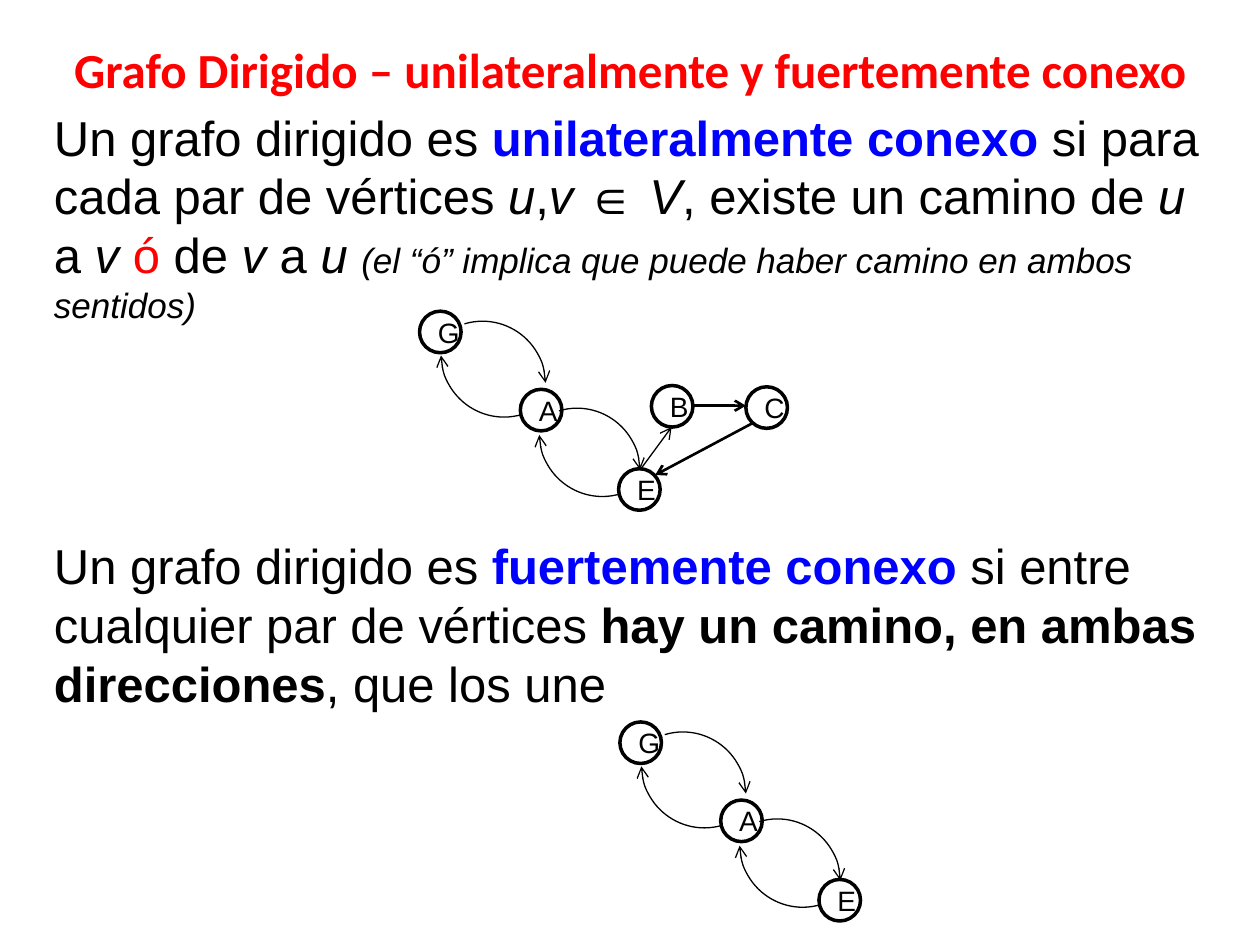
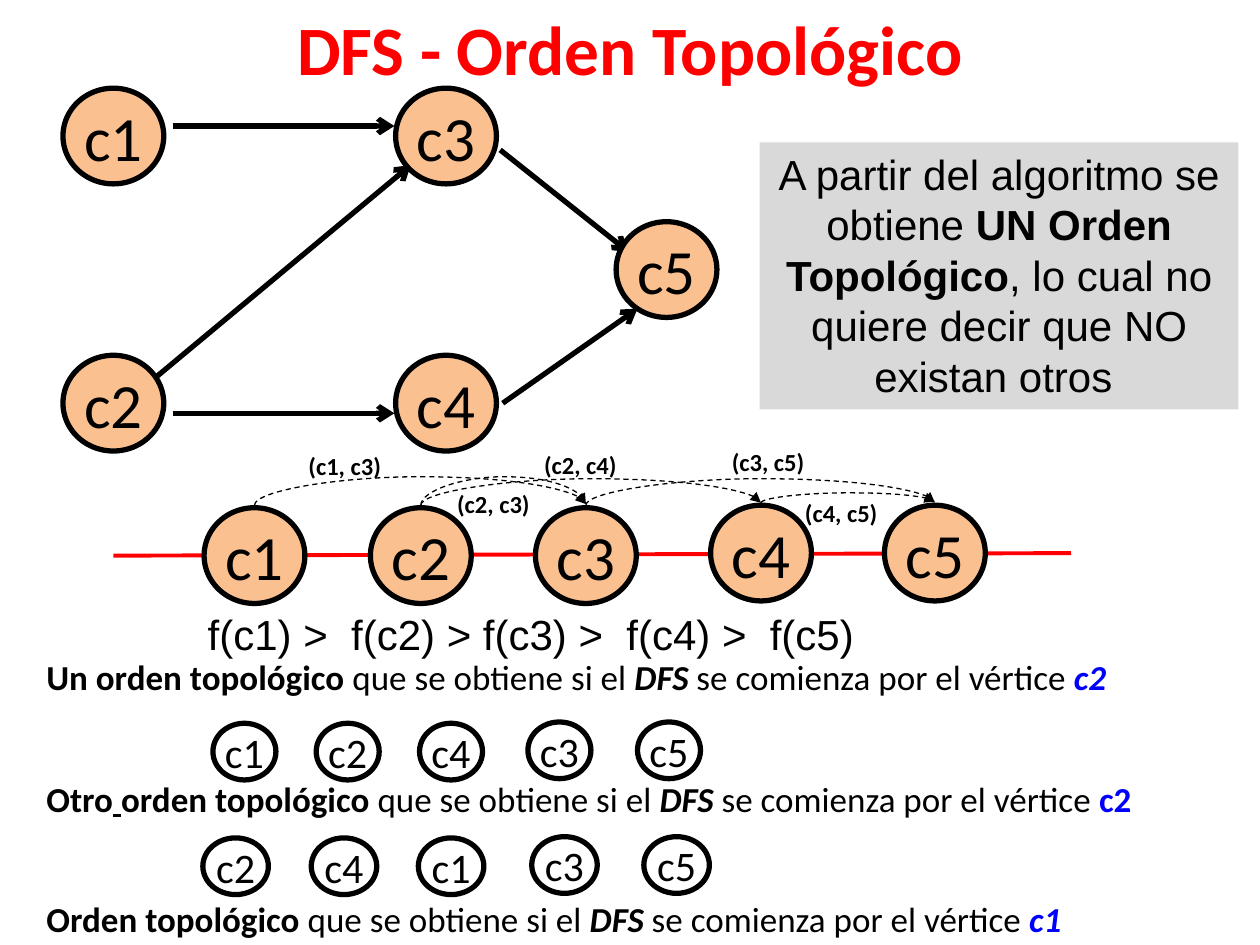
from lxml import etree
from pptx import Presentation
from pptx.dml.color import RGBColor
from pptx.enum.dml import MSO_LINE
from pptx.enum.shapes import MSO_CONNECTOR as Link, MSO_SHAPE as Shape
from pptx.enum.text import MSO_ANCHOR as Anchor, PP_ALIGN as Align
from pptx.oxml.ns import qn
from pptx.util import Inches, Pt

BLACK, RED, BLUE = "000000", "FF0000", "0000FF"
PEACH, GREY = "FAC090", "D9D9D9"
ARC_ANGLES = (151.98, 215.24)


def color(value):
    return RGBColor.from_string(value)


def box_inches(box):
    return [Inches(length) for length in box]


def add_runs(paragraph, runs, font, size):
    for text, style, tint, *own_size in runs:
        run = paragraph.add_run()
        run.text = text
        run.font.name = font
        run.font.size = Pt(own_size[0] if own_size else size)
        run.font.color.rgb = color(tint)
        run.font.bold = "b" in style
        run.font.italic = "i" in style
        run.font.underline = "u" in style


def write(frame, paragraphs, font, size, align=Align.LEFT, anchor=Anchor.TOP, wrap=True, gap=0):
    frame.word_wrap = wrap
    frame.vertical_anchor = anchor
    for index, runs in enumerate(paragraphs):
        paragraph = frame.add_paragraph() if index else frame.paragraphs[0]
        paragraph.alignment = align
        if index:
            paragraph.space_before = Pt(gap)
        add_runs(paragraph, runs, font, size)


def add_text(slide, box, paragraphs, font, size, **layout):
    area = slide.shapes.add_textbox(*box_inches(box))
    write(area.text_frame, paragraphs, font, size, **layout)


def add_title(slide, top, text, size):
    add_text(slide, (0.25, top, 9.5, 0.75), [[(text, "b", RED)]], "Calibri", size,
             align=Align.CENTER, anchor=Anchor.MIDDLE)


def style_line(item, width, tint=BLACK, head=None):
    item.line.color.rgb = color(tint)
    item.line.width = Pt(width)
    if head:
        etree.SubElement(item.line._get_or_add_ln(), qn("a:tailEnd"), type=head)


def add_line(slide, start, end, width, tint=BLACK, head="arrow"):
    edge = slide.shapes.add_connector(Link.STRAIGHT, *box_inches(start + end))
    style_line(edge, width, tint, head)
    etree.SubElement(edge._element.spPr, qn("a:effectLst"))


def add_vertex(slide, box, name, font, size, width, fill=None, wrap=False):
    vertex = slide.shapes.add_shape(Shape.OVAL, *box_inches(box))
    vertex.shadow.inherit = False
    if fill:
        vertex.fill.solid()
        vertex.fill.fore_color.rgb = color(fill)
    else:
        vertex.fill.background()
    style_line(vertex, width)
    write(vertex.text_frame, [[(name, "", BLACK)]], font, size,
          align=Align.CENTER, anchor=Anchor.MIDDLE, wrap=wrap)


def add_arc(slide, left, top, rotation):
    arc = slide.shapes.add_shape(Shape.ARC, *box_inches((left, top, 1, 1)))
    arc.shadow.inherit = False
    arc.fill.background()
    arc.rotation = rotation
    for index, angle in enumerate(ARC_ANGLES):
        arc.adjustments[index] = angle
    style_line(arc, 0.75, head="arrow")


def add_arch(slide, start, end, base, climb, rise):
    span = end - start
    center_x, center_y = (start + end) / 2, base - climb / 2
    left, top = center_x - climb / 2, center_y - span / 2
    arch = slide.shapes.add_connector(Link.CURVE, *box_inches((left, top, left + climb, top + span)))
    properties = arch._element.spPr
    properties.find(qn("a:xfrm")).set("rot", str(270 * 60000))
    adjustments = properties.find(qn("a:prstGeom")).get_or_add_avLst()
    etree.SubElement(adjustments, qn("a:gd"), name="adj1", fmla=f"val {round(rise / climb * 100000)}")
    style_line(arch, 0.75)
    arch.line.dash_style = MSO_LINE.DASH
    etree.SubElement(arch.line._get_or_add_ln(), qn("a:tailEnd"), type="triangle")
    etree.SubElement(properties, qn("a:effectLst"))


def add_letters(slide, left, top, places):
    for name, x, y in places:
        add_vertex(slide, (left + x, top + y, 0.33, 0.33), name, "Arial", 16, 2, wrap=True)


def strong_graph(slide, left, top):
    for x, y, rotation in [(0.95, 0.47, 180), (0.17, -0.16, 180), (0, 0.08, 0), (0.75, 0.77, 0)]:
        add_arc(slide, left + x, top + y, rotation)
    add_letters(slide, left, top, [("G", 0, 0), ("A", 0.8, 0.62), ("E", 1.58, 1.25)])


def unilateral_graph(slide, left, top):
    strong_graph(slide, left, top)
    add_letters(slide, left, top, [("B", 1.84, 0.59), ("C", 2.59, 0.6)])
    for x1, y1, x2, y2, width in [(2.17, 0.75, 2.59, 0.75, 1.5), (2.64, 0.89, 1.87, 1.3, 1.5),
                                  (1.75, 1.26, 2, 0.92, 0.75)]:
        add_line(slide, (left + x1, top + y1), (left + x2, top + y2), width)


def connectivity_slide(slide):
    add_title(slide, 0.17, "Grafo Dirigido – unilateralmente y fuertemente conexo", 28)
    unilateral = [
        ("Un grafo dirigido es ", "", BLACK), ("unilateralmente conexo ", "b", BLUE),
        ("si para cada par de vértices ", "", BLACK), ("u", "i", BLACK), (",", "", BLACK),
        ("v ", "i", BLACK), ("∈ ", "", BLACK), ("V", "i", BLACK),
        (", existe un camino de ", "", BLACK), ("u", "i", BLACK), (" a ", "", BLACK),
        ("v ", "i", BLACK), ("ó ", "", RED), ("de ", "", BLACK), ("v", "i", BLACK),
        (" a ", "", BLACK), ("u ", "i", BLACK),
        ("(el “ó” implica que puede haber camino en ambos sentidos)", "i", BLACK, 20)]
    strong = [
        ("Un grafo dirigido es ", "", BLACK), ("fuertemente conexo ", "b", BLUE),
        ("si entre cualquier par de vértices ", "", BLACK),
        ("hay un camino, en ambas direcciones", "b", BLACK), (", que los une", "", BLACK)]
    add_text(slide, (0.33, 0.8, 9.37, 4.95), [unilateral, strong], "Arial", 28, gap=120)
    unilateral_graph(slide, 3.33, 2.47)
    strong_graph(slide, 4.92, 5.73)


def add_course(slide, left, top, name):
    add_vertex(slide, (left, top, 0.8, 0.76), name, "Calibri", 36, 3, PEACH)


def course_graph(slide, left, top):
    for x1, y1, x2, y2 in [(0.67, 2.35, 2.76, 0.61), (0.87, 2.58, 2.63, 2.58),
                           (0.87, 0.3, 2.63, 0.3), (3.49, 2.5, 4.56, 1.75),
                           (3.47, 0.49, 4.49, 1.3)]:
        add_line(slide, (left + x1, top + y1), (left + x2, top + y2), 3)
    for name, x, y in [("c1", 0, 0), ("c2", 0, 2.12), ("c3", 2.64, 0),
                       ("c4", 2.64, 2.12), ("c5", 4.39, 1.06)]:
        add_course(slide, left + x, top + y, name)


def topological_line(slide, left, top):
    add_line(slide, (left - 0.72, top + 0.4), (left + 6.88, top + 0.38), 2.25, RED, None)
    places = {"c1": (0, 0.02), "c2": (1.32, 0.02), "c3": (2.63, 0.02),
              "c4": (4.02, 0), "c5": (5.4, 0)}
    for name, (x, y) in places.items():
        add_course(slide, left + x, top + y, name)
    for start, end, climb, rise, label_x, label_y in [
            ("c1", "c3", 0.01, 0.23, 0.73, -0.48), ("c2", "c3", 0.01, 0.23, 1.91, -0.18),
            ("c2", "c4", 0.02, 0.21, 2.6, -0.49), ("c3", "c5", 0.02, 0.21, 4.09, -0.51),
            ("c4", "c5", 0.01, 0.08, 4.67, -0.11)]:
        start_x, start_y = places[start]
        add_arch(slide, left + start_x + 0.4, left + places[end][0] + 0.4,
                 top + start_y - 0.02, climb, rise)
        add_text(slide, (left + label_x, top + label_y, 1.6, 0.33),
                 [[(f"({start}, {end})", "b", BLACK)]], "Calibri", 14)


def order_row(slide, left, top, width, pitches, names):
    for index, (name, x) in enumerate(zip(names, pitches)):
        lift = 0.01 if index > 2 else 0
        add_vertex(slide, (left + x, top - lift, width, 0.45), name, "Calibri", 24, 3)


def order_sentence(slide, top, opening, vertex, vertex_style):
    add_text(slide, (0.27, top, 9.73, 0.43), [opening + [
        ("que se obtiene si el ", "", BLACK), ("DFS", "bi", BLACK),
        (" se comienza por el vértice ", "", BLACK), (vertex, vertex_style, BLUE)]],
        "Calibri", 20)


def remark(slide, box):
    panel = slide.shapes.add_shape(Shape.RECTANGLE, *box_inches(box))
    panel.shadow.inherit = False
    panel.fill.solid()
    panel.fill.fore_color.rgb = color(GREY)
    panel.line.fill.background()
    write(panel.text_frame, [[
        ("A partir del algoritmo se obtiene ", "", BLACK), ("UN Orden Topológico", "b", BLACK),
        (", lo cual no quiere decir que NO existan otros ", "", BLACK)]],
        "Arial", 24, align=Align.CENTER)


def topological_slide(slide):
    course_graph(slide, 0.5, 0.7)
    topological_line(slide, 1.62, 4.01)
    add_text(slide, (1.55, 4.78, 8.01, 0.5),
             [[("f(c1) >  f(c2) > f(c3) >  f(c4) >  f(c5)", "", BLACK)]], "Arial", 24)
    order_sentence(slide, 5.15, [("Un orden topológico ", "b", BLACK)], "c2", "bi")
    order_row(slide, 1.69, 5.74, 0.5, (0, 0.82, 1.64, 2.5, 3.37), ("c1", "c2", "c4", "c3", "c5"))
    order_sentence(slide, 6.12, [("Otro", "b", BLACK), (" ", "u", BLACK),
                                 ("orden topológico ", "b", BLACK)], "c2", "b")
    order_row(slide, 1.61, 6.65, 0.52, (0, 0.86, 1.71, 2.61, 3.5), ("c2", "c4", "c1", "c3", "c5"))
    order_sentence(slide, 7.07, [("Orden topológico ", "b", BLACK)], "c1", "bi")
    remark(slide, (6.03, 1.13, 3.8, 2.12))
    add_title(slide, 0, "DFS - Orden Topológico", 39.6)


def main():
    deck = Presentation()
    deck.slide_width, deck.slide_height = Inches(10), Inches(7.5)
    for build in (connectivity_slide, topological_slide):
        build(deck.slides.add_slide(deck.slide_layouts[6]))
    deck.save("out.pptx")


if __name__ == "__main__":
    main()
